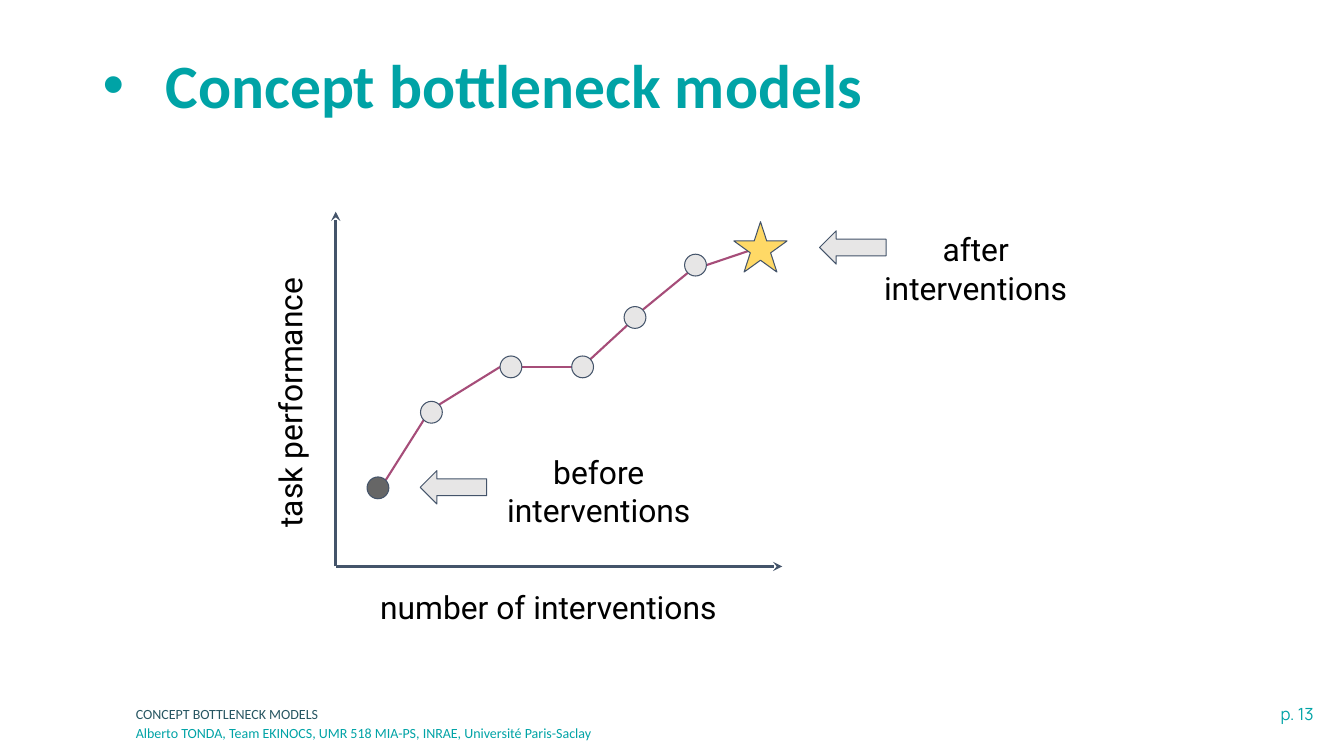
from itertools import pairwise
from math import cos, radians, sin

from lxml import etree
from pptx import Presentation
from pptx.dml.color import RGBColor
from pptx.enum.shapes import MSO_CONNECTOR, MSO_SHAPE
from pptx.enum.text import MSO_ANCHOR, MSO_AUTO_SIZE, PP_ALIGN
from pptx.oxml.ns import qn
from pptx.util import Pt

TEAL = RGBColor(0x00, 0xA3, 0xA6)
PETROL = RGBColor(0x27, 0x56, 0x62)
BLACK = RGBColor(0x00, 0x00, 0x00)
SLATE = RGBColor(0x44, 0x54, 0x6A)
PLUM = RGBColor(0xA6, 0x4D, 0x79)
LIGHT_GREY = RGBColor(0xE7, 0xE6, 0xE6)
DARK_GREY = RGBColor(0x66, 0x66, 0x66)
GOLD = RGBColor(0xFF, 0xD9, 0x66)

STRAIGHT = MSO_CONNECTOR.STRAIGHT
OVAL = MSO_SHAPE.OVAL
STAR = MSO_SHAPE.STAR_5_POINT
LEFT_ARROW = MSO_SHAPE.LEFT_ARROW
LEFT, CENTER, RIGHT = PP_ALIGN.LEFT, PP_ALIGN.CENTER, PP_ALIGN.RIGHT
MIDDLE = MSO_ANCHOR.MIDDLE
NO_FIT = MSO_AUTO_SIZE.NONE

RADIUS = 7.8


def format_span(span, font, size, color, bold=False):
    """Set the font of one run."""
    span.font.name = font
    span.font.size = Pt(size)
    span.font.color.rgb = color
    span.font.bold = bold


def add_text(page, box, text, font, size, color, align=LEFT, inset=None):
    """Add a wrapped one-paragraph text box and return it."""
    shape = page.shapes.add_textbox(*map(Pt, box))
    frame = shape.text_frame
    frame.word_wrap = True
    if inset is not None:
        frame.margin_left = frame.margin_right = Pt(inset)
        frame.margin_top = frame.margin_bottom = Pt(inset)
    frame.text = text
    para = frame.paragraphs[0]
    para.alignment = align
    format_span(para.runs[0], font, size, color)
    return shape


def add_line(page, start, end, color, width, arrow=False):
    """Add a straight line, with a stealth head at its end if asked."""
    line = page.shapes.add_connector(STRAIGHT, *map(Pt, (*start, *end)))
    line.line.color.rgb = color
    line.line.width = Pt(width)
    if arrow:
        etree.SubElement(line.line._get_or_add_ln(), qn("a:tailEnd"), type="stealth")
    etree.SubElement(line._element.spPr, qn("a:effectLst"))


def add_mark(page, kind, box, fill):
    """Add a filled preset shape with a thin slate outline."""
    mark = page.shapes.add_shape(kind, *map(Pt, box))
    mark.shadow.inherit = False
    mark.fill.solid()
    mark.fill.fore_color.rgb = fill
    mark.line.color.rgb = SLATE
    mark.line.width = Pt(0.75)


def add_title(page, box, text):
    """Place the bulleted title in the title placeholder."""
    title = page.shapes.title
    title.left, title.top, title.width, title.height = map(Pt, box)
    frame = title.text_frame
    frame.text = text
    frame.word_wrap = True
    frame.auto_size = NO_FIT
    frame.vertical_anchor = MIDDLE
    para = frame.paragraphs[0]
    properties = para._p.get_or_add_pPr()
    properties.set("marL", str(Pt(45)))
    properties.set("indent", str(Pt(-45)))
    etree.SubElement(properties, qn("a:buFont"), typeface="Arial")
    etree.SubElement(properties, qn("a:buChar"), char="•")
    para.alignment = LEFT
    para.line_spacing = 0.9
    format_span(para.runs[0], "Calibri", 44, TEAL, True)


def add_curve(page, left, top):
    """Draw the performance curve, its points and the final star."""
    points = [
        (left + x, top + y)
        for x, y in [(30.2, 197.3), (68.4, 143.3), (125.2, 110.9),
                     (176.4, 110.9), (213.8, 75.6), (257, 38.2)]
    ]
    star = (left + 303.4, top + 25.2)

    def edge(point, angle):
        """Return the place on a circle at an angle in degrees."""
        turn = radians(angle)
        return point[0] + RADIUS * cos(turn), point[1] - RADIUS * sin(turn)

    angles = [(45, 225), (45, 180), (0, 180), (45, 225), (45, 225)]
    for (start, end), (leave, arrive) in zip(pairwise(points), angles):
        add_line(page, edge(start, leave), edge(end, arrive), PLUM, 1.5)
    add_line(page, edge(points[-1], 0), star, PLUM, 1.5)
    for index, (x, y) in enumerate(points):
        box = (x - RADIUS, y - RADIUS, 2 * RADIUS, 2 * RADIUS)
        add_mark(page, OVAL, box, LIGHT_GREY if index else DARK_GREY)
    add_mark(page, STAR, (star[0] - 19, star[1] - 18, 38, 36), GOLD)


def add_diagram(page, box):
    """Draw the axes, the curve and the labels around the plot box."""
    left, top, width, height = box
    origin = (left, top + height)
    add_line(page, origin, (left, top), SLATE, 2.25, True)
    add_line(page, origin, (left + width, top + height), SLATE, 2.25, True)
    add_curve(page, left, top)
    for x, y in [(345.6, 13.7), (60.4, 185)]:
        add_mark(page, LEFT_ARROW, (left + x, top + y, 47.5, 23.8), LIGHT_GREY)
    labels = [
        ("task performance", -168.5, 113, 271.4, 46.8, 270),
        ("number of interventions", 3.6, 259.2, 296.6, 46.8, 0),
        ("before interventions", 108, 162.7, 159.8, 74.2, 0),
        ("after interventions", 377.2, 3.6, 159.8, 74.2, 0),
    ]
    for text, x, y, wide, high, rotation in labels:
        place = (left + x, top + y, wide, high)
        label = add_text(page, place, text, "Roboto", 22.7, BLACK, CENTER, 9.6)
        label.rotation = rotation


def add_footer(page, box):
    """Write the talk name, the author and the page number."""
    left, top, width, height = box
    lines = [
        ("CONCEPT BOTTLENECK MODELS", PETROL),
        ("Alberto TONDA, Team EKINOCS, UMR 518 MIA-PS, INRAE, Université Paris-Saclay", TEAL),
    ]
    for index, (text, color) in enumerate(lines):
        place = (left, top + 1.4 + index * 13.9, 528.5, 20)
        add_text(page, place, text, "Calibri", 10, color)
    place = (left + width - 164, top, 164, height)
    add_text(page, place, "p. 13", "Manrope", 12, TEAL, RIGHT)


def main():
    """Build the deck and save it."""
    deck = Presentation()
    deck.slide_width, deck.slide_height = Pt(960), Pt(540)
    page = deck.slides.add_slide(deck.slide_layouts[5])
    add_title(page, (66.2, 28.8, 828, 68.4), "Concept bottleneck models")
    add_diagram(page, (239.8, 151.2, 319, 253.4))
    add_footer(page, (90, 499, 855.4, 21.6))
    deck.save("out.pptx")


if __name__ == "__main__":
    main()
